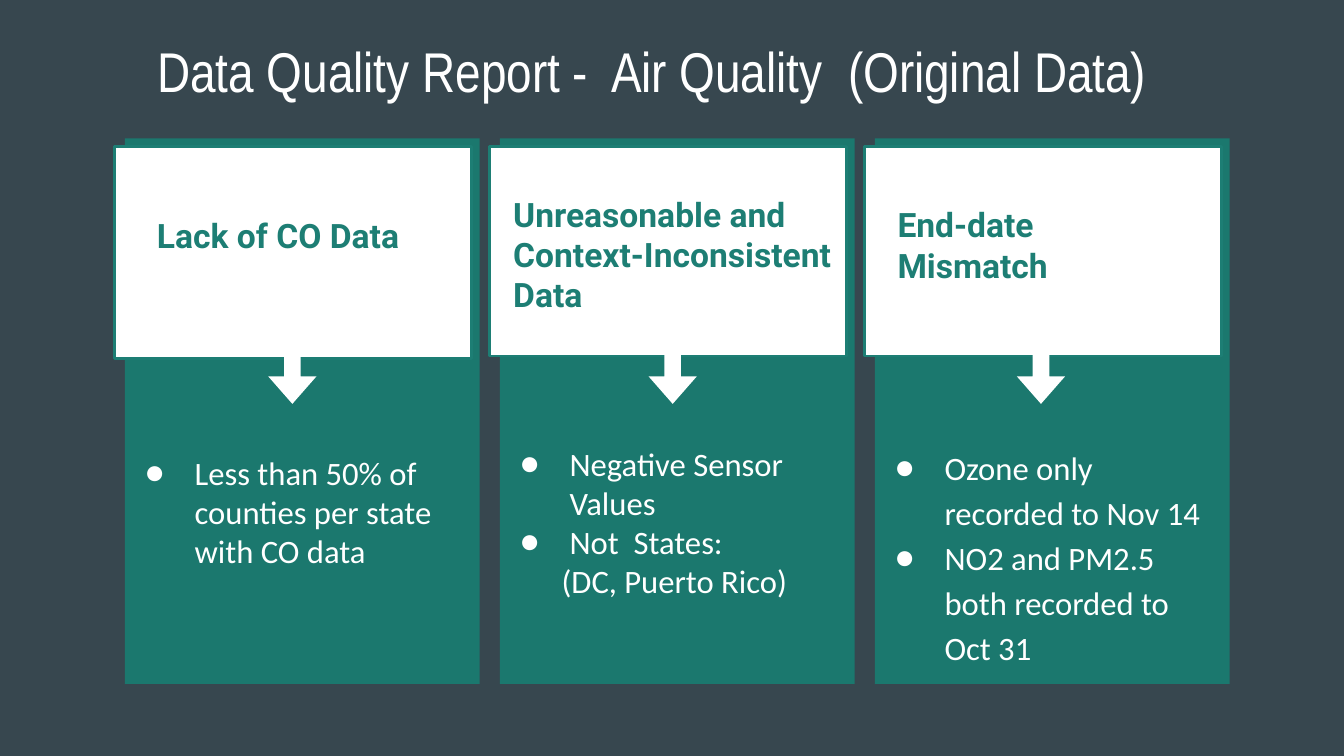
from dataclasses import dataclass

from lxml.etree import SubElement
from pptx import Presentation
from pptx.dml.color import RGBColor
from pptx.enum.shapes import MSO_SHAPE
from pptx.enum.text import MSO_ANCHOR, MSO_AUTO_SIZE, PP_ALIGN
from pptx.oxml.ns import qn
from pptx.util import Inches, Pt


@dataclass(frozen=True)
class Theme:
    background = RGBColor.from_string("37474F")
    panel = RGBColor.from_string("1B786E")
    accent = RGBColor.from_string("1D7E74")
    white = RGBColor.from_string("FFFFFF")
    title_size = Pt(30)
    heading_size = Pt(18)
    body_size = Pt(17.5)
    title_font = "Arial Narrow"
    heading_font = "Roboto"
    body_font = "Calibri"


theme = Theme()


def add_filled_shape(shapes, kind, box, fill, line=None):
    shape = shapes.add_shape(kind, *map(Inches, box))
    shape.shadow.inherit = False
    shape.fill.solid()
    shape.fill.fore_color.rgb = fill
    if line is None:
        shape.line.fill.background()
    else:
        shape.line.color.rgb = line
        shape.line.width = Pt(1.5)
    return shape


def format_text(shape, lines, font, size, color, bold=False):
    """Fill a shape with one paragraph per line, left aligned from the top."""
    frame = shape.text_frame
    frame.word_wrap = True
    frame.auto_size = MSO_AUTO_SIZE.NONE
    frame.vertical_anchor = MSO_ANCHOR.TOP
    frame.margin_left = frame.margin_right = Inches(0.1)
    frame.margin_top = frame.margin_bottom = Inches(0.1)
    frame.text = "\n".join(lines)
    for paragraph in frame.paragraphs:
        paragraph.alignment = PP_ALIGN.LEFT
        paragraph.font.name = font
        paragraph.font.size = size
        paragraph.font.bold = bold
        paragraph.font.color.rgb = color
    return frame.paragraphs


presentation = Presentation()
presentation.slide_width = Inches(10)
presentation.slide_height = Inches(10 * 9 / 16)
slide = presentation.slides.add_slide(presentation.slide_layouts[5])
slide.background.fill.solid()
slide.background.fill.fore_color.rgb = theme.background

title = slide.shapes.title
title.left, title.top = Inches(1.07), Inches(0.17)
title.width, title.height = Inches(8.08), Inches(2.94)
format_text(title, ["Data Quality Report -  Air Quality  (Original Data)"],
            theme.title_font, theme.title_size, theme.white)

# Boxes are left, top, width, height; a line in brackets carries no bullet.
columns = [
    {"heading": "Lack of CO Data", "heading_box": (1.07, 1.5, 2.36, 0.61),
     "card_height": 1.58, "arrow_left": 1.98,
     "body_top": 3.27, "body_height": 1.72, "line_spacing": 1.0,
     "body": ["Less than 50% of counties per state with CO data"]},
    {"heading": "Unreasonable and Context-Inconsistent Data",
     "heading_box": (3.72, 1.34, 2.59, 1.08),
     "card_height": 1.56, "arrow_left": 4.81,
     "body_top": 3.2, "body_height": 1.79, "line_spacing": 1.0,
     "body": ["Negative Sensor Values", "Not  States:", "(DC, Puerto Rico)"]},
    {"heading": "End-date Mismatch", "heading_box": (6.58, 1.42, 2.36, 0.61),
     "card_height": 1.56, "arrow_left": 7.55,
     "body_top": 3.19, "body_height": 1.35, "line_spacing": 1.15,
     "body": ["Ozone only recorded to Nov 14",
              "NO2 and PM2.5 both recorded to Oct 31"]},
]
first_left, column_step, panel_width = 0.93, 2.79, 2.64
card_shift = 0.08

for index, column in enumerate(columns):
    panel_left = first_left + index * column_step
    card_left = panel_left - card_shift
    shapes = slide.shapes.add_group_shape().shapes

    add_filled_shape(shapes, MSO_SHAPE.RECTANGLE,
                     (panel_left, 1.03, panel_width, 4.06), theme.panel)
    add_filled_shape(shapes, MSO_SHAPE.RECTANGLE,
                     (card_left, 1.09, 2.66, column["card_height"]),
                     theme.white, theme.accent)

    heading = shapes.add_textbox(*map(Inches, column["heading_box"]))
    format_text(heading, [column["heading"]], theme.heading_font,
                theme.heading_size, theme.accent, bold=True)

    arrow = add_filled_shape(shapes, MSO_SHAPE.RIGHT_ARROW,
                             (column["arrow_left"], 2.63, 0.39, 0.36), theme.white)
    arrow.rotation = 90
    arrow.adjustments[0] = 0.342
    arrow.adjustments[1] = 0.57

    body = shapes.add_textbox(Inches(card_left), Inches(column["body_top"]),
                              Inches(panel_width), Inches(column["body_height"]))
    for paragraph in format_text(body, column["body"], theme.body_font,
                                 theme.body_size, theme.white):
        paragraph.line_spacing = column["line_spacing"]
        properties = paragraph._p.get_or_add_pPr()
        if paragraph.text.startswith("("):
            properties.set("marL", str(Inches(0.44)))
            continue
        properties.set("marL", str(Inches(0.5)))
        properties.set("indent", str(Inches(-0.37)))
        bullet_color = SubElement(properties, qn("a:buClr"))
        SubElement(bullet_color, qn("a:srgbClr")).set("val", str(theme.white))
        SubElement(properties, qn("a:buFont")).set("typeface", theme.body_font)
        SubElement(properties, qn("a:buChar")).set("char", "●")
        # The schema wants the default run properties after the bullet.
        properties.append(properties.find(qn("a:defRPr")))

presentation.save("out.pptx")
